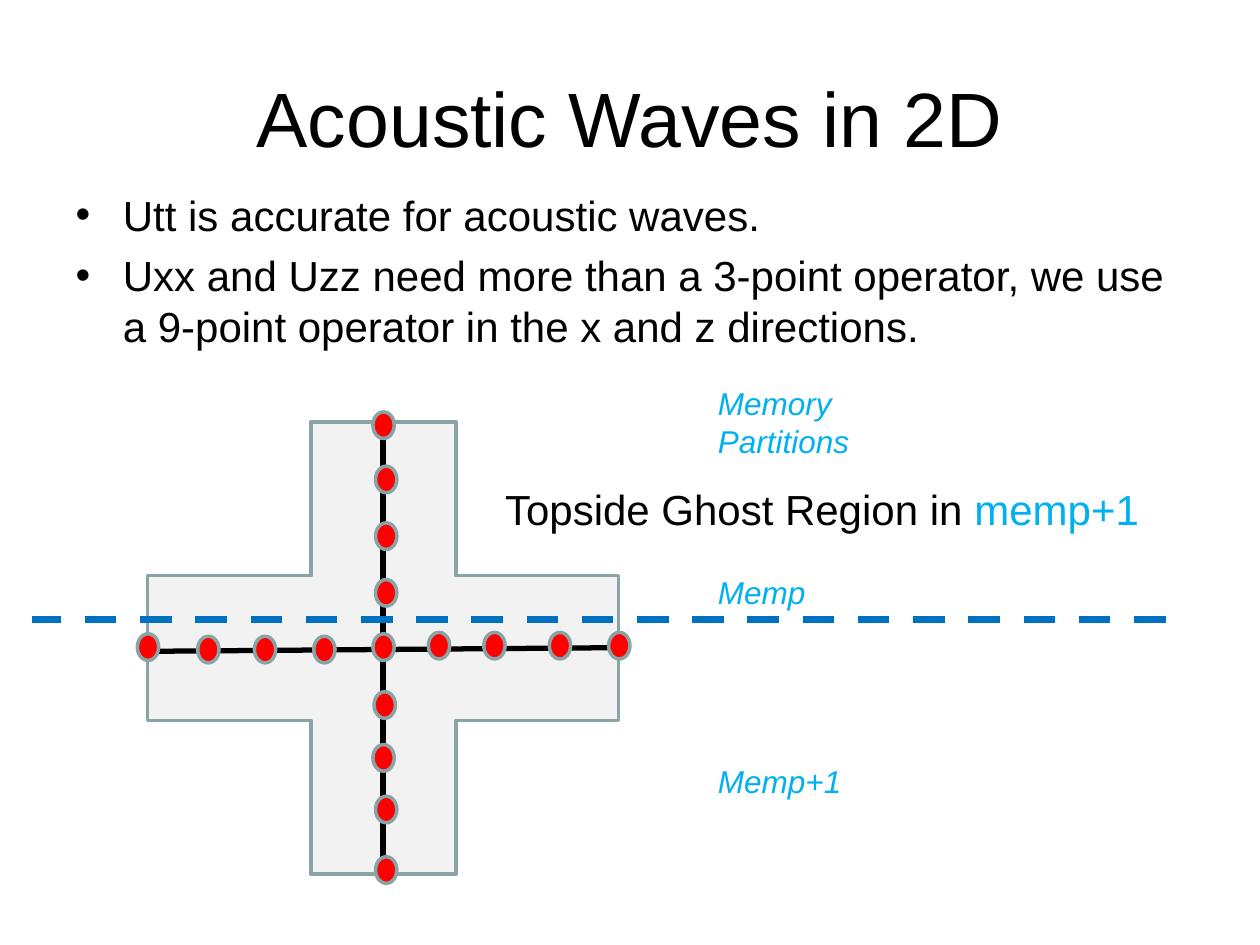
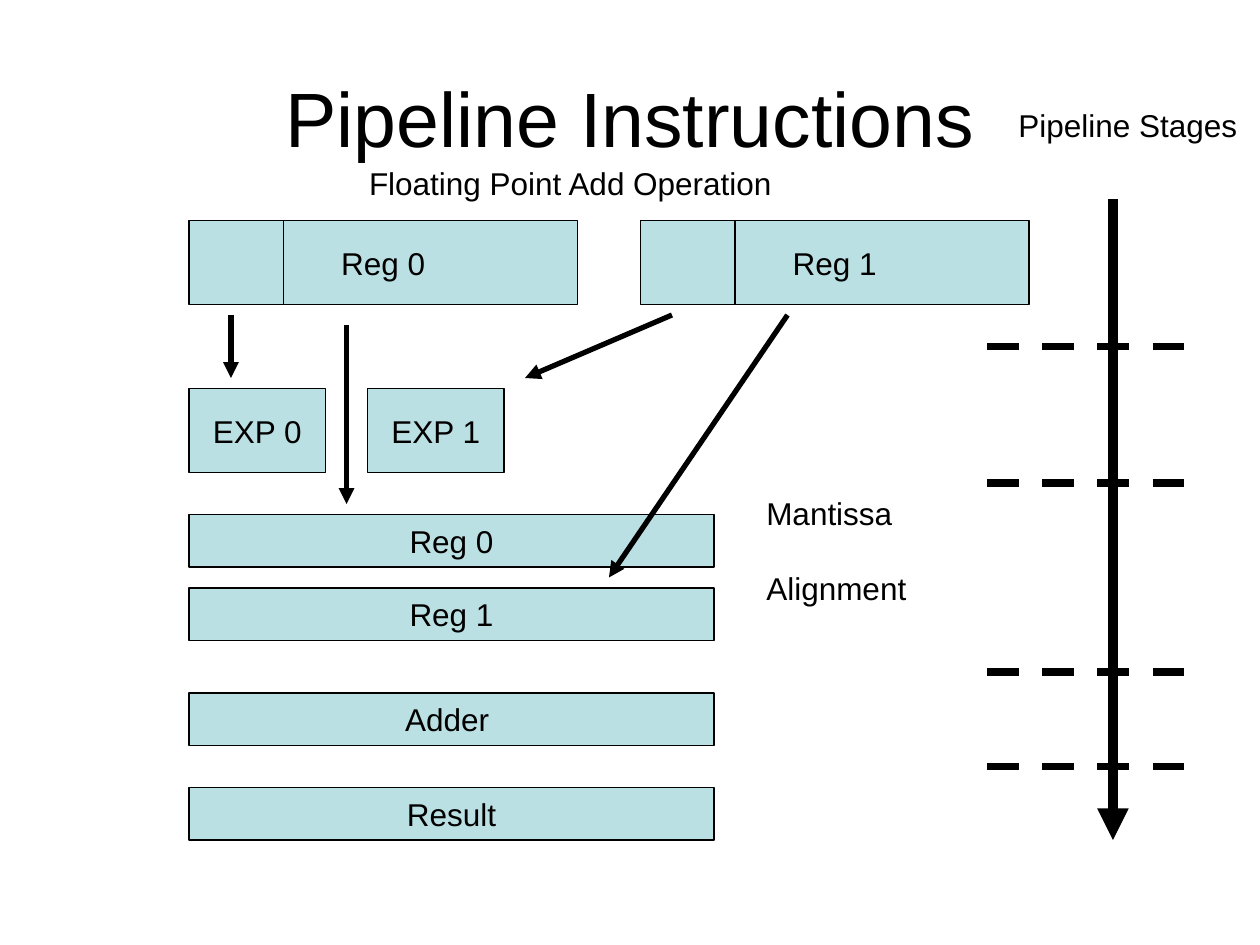
"""Build two slides: a 2D acoustic stencil and a floating point add pipeline."""
from lxml import etree
from pptx import Presentation
from pptx.dml.color import RGBColor
from pptx.enum import dml, shapes, text
from pptx.oxml import ns
from pptx.util import Pt

FONT = "Arial"
BLACK = RGBColor(0x00, 0x00, 0x00)
SKY = RGBColor(0x00, 0xB0, 0xF0)
BLUE = RGBColor(0x00, 0x70, 0xC0)
RED = RGBColor(0xFF, 0x00, 0x00)
SLATE = RGBColor(0x89, 0xA4, 0xA7)
PALE = RGBColor(0xF2, 0xF2, 0xF2)
TEAL = RGBColor(0xBB, 0xE0, 0xE3)


def add_text(s, x, y, w, h, lines, size=18, color=BLACK, italic=False, gap=0):
    tf = s.shapes.add_textbox(Pt(x), Pt(y), Pt(w), Pt(h)).text_frame
    tf.word_wrap = True
    for i, line in enumerate(lines):
        p = tf.add_paragraph() if i else tf.paragraphs[0]
        p.text = line
        p.space_before = Pt(gap if i else 0)
        p.font.name, p.font.size, p.font.italic = FONT, Pt(size), italic
        p.font.color.rgb = color
    return tf


def add_line(s, x1, y1, x2, y2, width, color=BLACK, dash=False, arrow=False):
    c = s.shapes.add_connector(
        shapes.MSO_CONNECTOR.STRAIGHT, Pt(x1), Pt(y1), Pt(x2), Pt(y2))
    c.line.color.rgb, c.line.width = color, Pt(width)
    if dash:
        c.line.dash_style = dml.MSO_LINE.DASH
    if arrow:
        etree.SubElement(c.line._get_or_add_ln(), ns.qn("a:tailEnd"), type="triangle")
    etree.SubElement(c._element.spPr, ns.qn("a:effectLst"))


prs = Presentation()
prs.slide_width, prs.slide_height = Pt(720), Pt(540)

slides = []
for title, layout in (("Acoustic Waves in 2D", 1), ("Pipeline Instructions", 5)):
    s = prs.slides.add_slide(prs.slide_layouts[layout])
    sp = s.shapes.title
    sp.left, sp.top, sp.width, sp.height = Pt(36), Pt(21.6), Pt(648), Pt(90)
    tf = sp.text_frame
    tf.text = title
    tf.auto_size = text.MSO_AUTO_SIZE.NONE
    p = tf.paragraphs[0]
    p.font.name, p.font.size, p.font.color.rgb = FONT, Pt(44), BLACK
    slides.append(s)
stencil, pipeline = slides

s = stencil
body = s.placeholders[1]
body.left, body.top, body.width, body.height = Pt(36), Pt(104.4), Pt(648), Pt(378)
tf = body.text_frame
tf.text = ("Utt is accurate for acoustic waves.\n"
           "Uxx and Uzz need more than a 3-point operator, we use "
           "a 9-point operator in the x and z directions.")
tf.auto_size = text.MSO_AUTO_SIZE.NONE
for i, p in enumerate(tf.paragraphs):
    p.space_before = Pt(6 if i else 0)
    p.font.name, p.font.size, p.font.color.rgb = FONT, Pt(24), BLACK

x1, x2, x3, x4 = 84.25, 177.75, 260.5, 353.5
y1, y2, y3, y4 = 241, 329, 411.75, 499.5
cross = [(x1, y2), (x2, y2), (x2, y1), (x3, y1), (x3, y2), (x4, y2),
         (x4, y3), (x3, y3), (x3, y4), (x2, y4), (x2, y3), (x1, y3)]
points = [(Pt(x), Pt(y)) for x, y in cross]
fb = s.shapes.build_freeform(*points[0])
fb.add_line_segments(points[1:], close=True)
sp = fb.convert_to_shape()
sp.shadow.inherit = False
sp.fill.solid()
sp.fill.fore_color.rgb = PALE
sp.line.color.rgb, sp.line.width = SLATE, Pt(2)

add_line(s, x1, 372.2, x4, 370.1, 3)
add_line(s, 218.9, y4, 218.9, y1, 3)
row_dots = [(78.5, 362.2), (113, 363.6), (145.4, 363.6), (179.3, 363.6), (213.1, 362.2),
            (244.8, 361.4), (276.5, 361.4), (313.9, 361.4), (347.8, 361.4)]
column_dots = [(213.1, 235.4), (214.6, 266.4), (214.6, 298.8), (214.6, 331.2),
               (213.8, 395.3), (213.1, 425.5), (214.6, 455), (214.6, 489.6)]
for x, y in row_dots + column_dots:
    sp = s.shapes.add_shape(shapes.MSO_SHAPE.OVAL, Pt(x), Pt(y), Pt(12.2), Pt(15.2))
    sp.shadow.inherit = False
    sp.fill.solid()
    sp.fill.fore_color.rgb = RED
    sp.line.color.rgb, sp.line.width = SLATE, Pt(2)
add_line(s, 666, 354, 18, 354, 4.5, BLUE, dash=True)

tf = add_text(s, 281.5, 273, 400, 36, ["Topside Ghost Region in "], size=24)
r = tf.paragraphs[0].add_run()
r.text = "memp+1"
r.font.color.rgb = SKY
for i, label in enumerate(("Memory Partitions", "Memp", "Memp+1")):
    add_text(s, 403.2, 216 + 108 * i, 102, 28.8, [label], color=SKY, italic=True)

s = pipeline
boxes = [("Reg 0", 108, 126, 222, 48), ("Reg 1", 366, 126, 222, 48),
         ("EXP 0", 108, 222, 78, 48), ("EXP 1", 210, 222, 78, 48),
         ("Reg 0", 108, 294, 300, 30), ("Reg 1", 108, 336, 300, 30),
         ("Adder ", 108, 396, 300, 30), ("Result", 108, 450, 300, 30)]
for label, x, y, w, h in boxes:
    sp = s.shapes.add_shape(shapes.MSO_SHAPE.RECTANGLE, Pt(x), Pt(y), Pt(w), Pt(h))
    sp.shadow.inherit = False
    sp.fill.solid()
    sp.fill.fore_color.rgb = TEAL
    sp.line.color.rgb, sp.line.width = BLACK, Pt(0.75)
    tf = sp.text_frame
    tf.text = label
    tf.word_wrap = False
    tf.vertical_anchor = text.MSO_ANCHOR.MIDDLE
    p = tf.paragraphs[0]
    p.alignment = text.PP_ALIGN.CENTER
    p.font.name, p.font.size, p.font.color.rgb = FONT, Pt(18), BLACK
for x in (162, 420):
    add_line(s, x, 126, x, 174, 0.75)

add_text(s, 203.8, 90, 318, 28.8, ["Floating Point Add Operation"])
add_text(s, 430.8, 278.6, 94.3, 72, ["Mantissa", "Alignment"], gap=21.6)
add_text(s, 574.8, 57, 145, 28.8, ["Pipeline Stages"]).word_wrap = False

add_line(s, 636, 114, 636, 480, 6, arrow=True)
for y in (198, 276, 384, 438):
    add_line(s, 564, y, 690, y, 4.5, dash=True)
for ends in ((132, 180, 132, 216), (384, 180, 300, 216),
             (450, 180, 348, 330), (198, 186, 198, 288)):
    add_line(s, *ends, 3, arrow=True)

prs.save("out.pptx")
